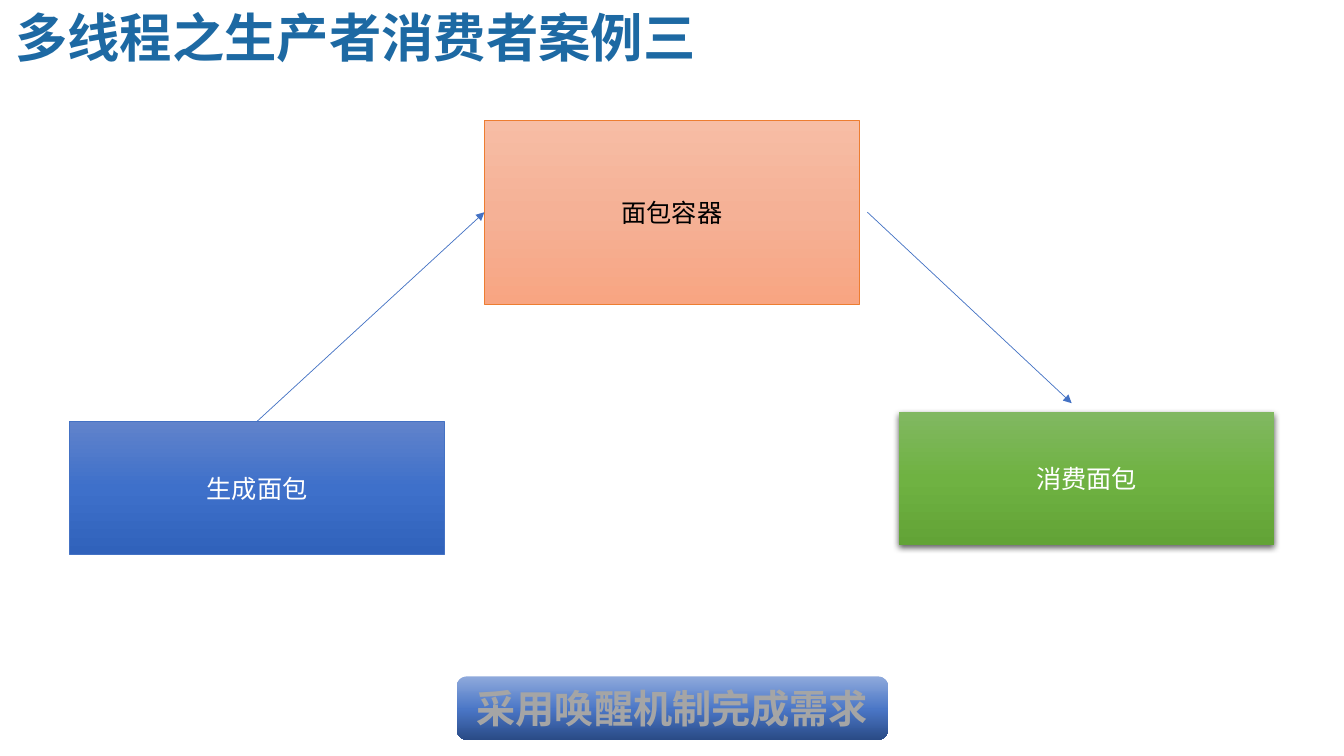
import lxml.etree
import pptx
import pptx.dml.color
import pptx.enum.dml
import pptx.enum.shapes
import pptx.enum.text
import pptx.oxml.ns
import pptx.util

Pt = pptx.util.Pt
qn = pptx.oxml.ns.qn
SHAPES = pptx.enum.shapes.MSO_SHAPE

COLORS = {
    "title": "1D69A3", "black": "000000", "white": "FFFFFF",
    "container line": "ED7D31", "blue line": "4472C4", "grey": "A5A5A5",
}
GRADIENTS = {
    "container": [(0, "F7BDA5"), (50, "F5B196"), (100, "F8A582")],
    "producer": [(0, "6183CB"), (50, "3E70CA"), (100, "3062BB")],
    "consumer": [(0, "81B861"), (50, "6FB242"), (100, "62A336")],
    "banner": [(0, "8FAADC"), (52, "4A76C6"), (100, "2A4B86")],
}
BODY_FONT = "Noto Sans CJK SC"


def rgb(name):
    return pptx.dml.color.RGBColor.from_string(COLORS[name])


def child(parent, tag, **attributes):
    return lxml.etree.SubElement(parent, qn(tag), attributes)


def write_text(shape, text, size, color, font_name=BODY_FONT, bold=False, wrap=True):
    frame = shape.text_frame
    frame.word_wrap = wrap
    frame.vertical_anchor = pptx.enum.text.MSO_ANCHOR.MIDDLE
    paragraph = frame.paragraphs[0]
    paragraph.alignment = pptx.enum.text.PP_ALIGN.CENTER
    paragraph.line_spacing = 1.0
    run = paragraph.add_run()
    run.text = text
    run.font.name = font_name
    run.font.size = Pt(size)
    run.font.bold = bold
    run.font.color.rgb = rgb(color)
    child(run.font._element, "a:ea", typeface=font_name)


def add_gradient_shape(slide, kind, box, gradient, line=None):
    shape = slide.shapes.add_shape(kind, *(Pt(length) for length in box))
    shape.shadow.inherit = False
    shape.fill.gradient()
    gradient_fill = shape._element.spPr.find(qn("a:gradFill"))
    stops = gradient_fill.find(qn("a:gsLst"))
    for stop in list(stops):
        stops.remove(stop)
    for position, color in GRADIENTS[gradient]:
        stop = child(stops, "a:gs", pos=str(position * 1000))
        child(stop, "a:srgbClr", val=color)
    gradient_fill.find(qn("a:lin")).set("ang", "5400000")  # top to bottom
    if line:
        shape.line.color.rgb = rgb(line)
        shape.line.width = Pt(0.5)
    else:
        shape.line.fill.background()
    return shape


def add_shadow(shape):
    effects = shape._element.spPr.find(qn("a:effectLst"))
    shadow = child(effects, "a:outerShdw", blurRad=str(Pt(4.5)), dist=str(Pt(1.5)),
                   dir="5400000", algn="ctr", rotWithShape="0")
    color = child(shadow, "a:srgbClr", val=COLORS["black"])
    child(color, "a:alpha", val="63000")


def add_arrow(slide, start, end):
    arrow = slide.shapes.add_connector(
        pptx.enum.shapes.MSO_CONNECTOR.STRAIGHT,
        *(Pt(length) for length in (*start, *end)))
    arrow.line.color.rgb = rgb("blue line")
    arrow.line.width = Pt(0.5)
    child(arrow.line._get_or_add_ln(), "a:tailEnd", type="triangle")
    child(arrow._element.spPr, "a:effectLst")


def build_title(slide, box):
    title = slide.shapes.title
    title.left, title.top, title.width, title.height = (Pt(length) for length in box)
    write_text(title, "多线程之生产者消费者案例三", 37.4, "title", "Arial Narrow", bold=True)


def build_flow(slide, box):
    left, top, width, height = box
    node_width, container_height, node_height = 267.8, 131.8, 95
    container_left = left + (width - node_width) / 2
    consumer_left = left + width - node_width
    producer_top = top + height - node_height
    consumer_top = producer_top - 6.5
    container_middle = top + container_height / 2

    # Bread container, producer and consumer
    container = add_gradient_shape(
        slide, SHAPES.RECTANGLE, (container_left, top, node_width, container_height),
        "container", "container line")
    write_text(container, "面包容器", 18, "black")
    producer = add_gradient_shape(
        slide, SHAPES.RECTANGLE, (left, producer_top, node_width, node_height),
        "producer", "blue line")
    write_text(producer, "生成面包", 18, "white")
    consumer = add_gradient_shape(
        slide, SHAPES.RECTANGLE, (consumer_left, consumer_top, node_width, node_height),
        "consumer")
    add_shadow(consumer)
    write_text(consumer, "消费面包", 18, "white")

    # Arrows into and out of the container
    add_arrow(slide, (left + node_width / 2, producer_top),
              (container_left, container_middle))
    add_arrow(slide, (container_left + node_width + 5.8, container_middle),
              (consumer_left + node_width / 2 - 10.7, consumer_top - 6.5))


def build_banner(slide, box):
    banner = add_gradient_shape(slide, SHAPES.ROUNDED_RECTANGLE, box, "banner")
    write_text(banner, "采用唤醒机制完成需求", 28, "grey", bold=True, wrap=False)


presentation = pptx.Presentation()
presentation.slide_width = Pt(960)
presentation.slide_height = Pt(540)
slide = presentation.slides.add_slide(presentation.slide_layouts[5])

build_title(slide, (-6.5, 0, 521.3, 52.6))
build_flow(slide, (49.7, 85.7, 860.4, 310.3))
build_banner(slide, (326.2, 483.1, 308.2, 45.4))

presentation.save("out.pptx")
